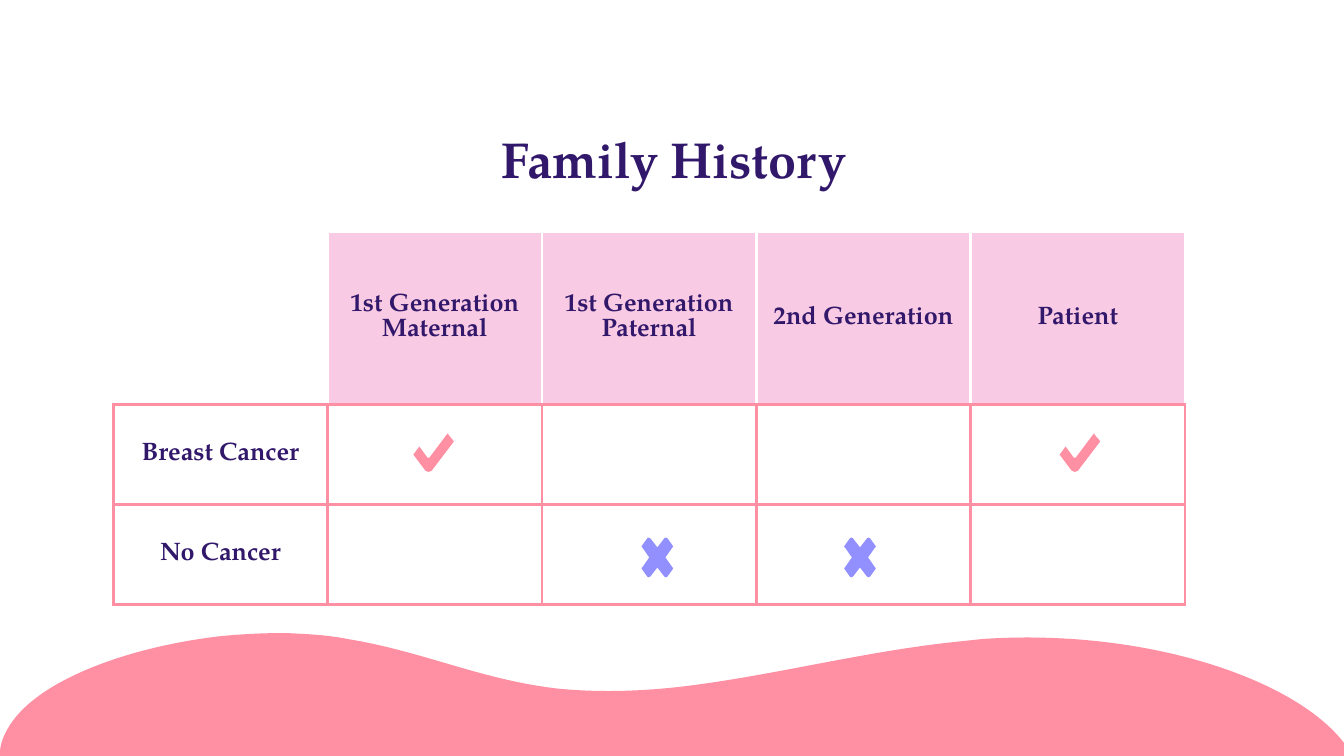
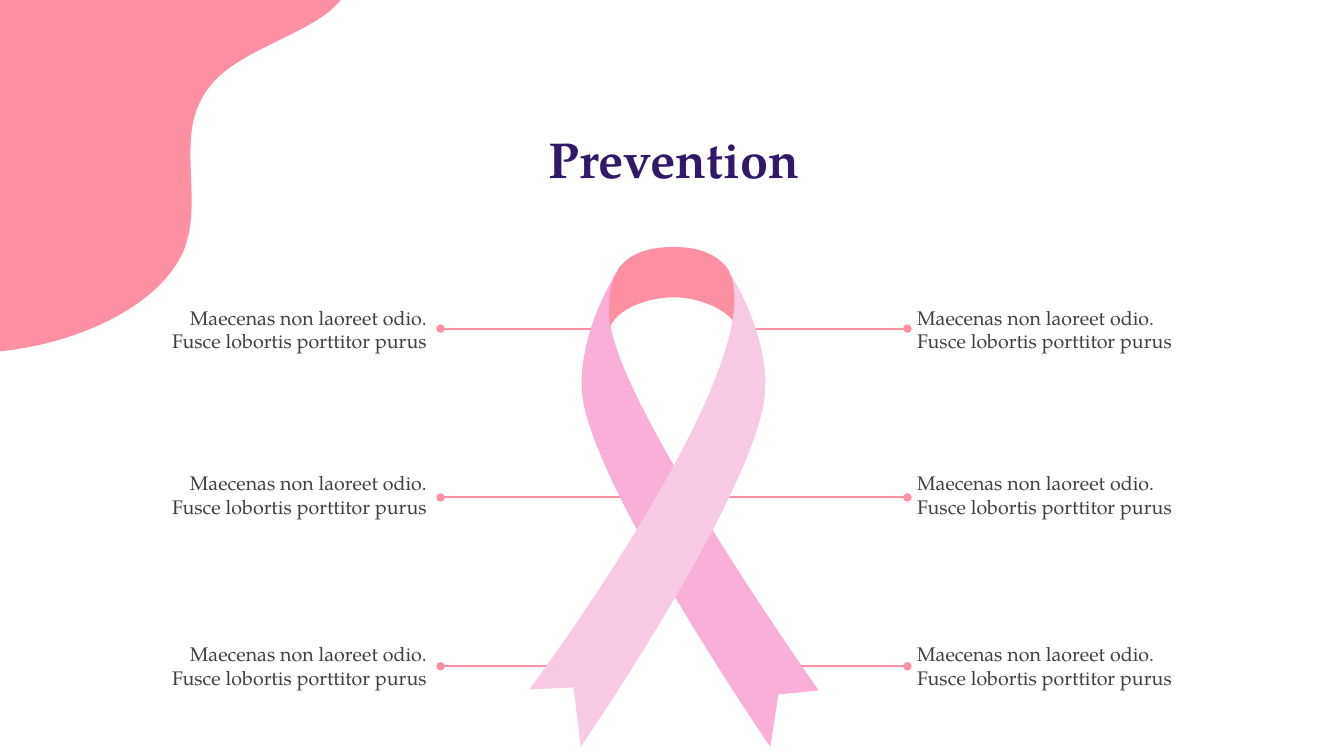
"""Build two slides: a family history table and a prevention ribbon with six notes."""
from lxml import etree
from pptx import Presentation
from pptx.dml.color import RGBColor
from pptx.enum.shapes import MSO_CONNECTOR
from pptx.enum.text import MSO_ANCHOR, MSO_AUTO_SIZE, PP_ALIGN
from pptx.oxml.ns import qn
from pptx.util import Inches, Pt

LEFT, MID, RIGHT = PP_ALIGN.LEFT, PP_ALIGN.CENTER, PP_ALIGN.RIGHT
CENTER = MSO_ANCHOR.MIDDLE
GROW = MSO_AUTO_SIZE.SHAPE_TO_FIT_TEXT
LINE = MSO_CONNECTOR.STRAIGHT

CORAL = RGBColor(0xFF, 0x8F, 0xA3)
BLUSH = RGBColor(0xF9, 0xCA, 0xE3)
ROSE = RGBColor(0xF9, 0xAF, 0xD7)
PINK = RGBColor(0xFE, 0x89, 0xBF)
LILAC = RGBColor(0x92, 0x90, 0xFF)
NAVY = RGBColor(0x32, 0x18, 0x6B)
GREY = RGBColor(0x40, 0x40, 0x40)
WHITE = RGBColor(0xFF, 0xFF, 0xFF)

FONT = "TeX Gyre Pagella"
TITLE = {"name": FONT, "size": Pt(36), "bold": True}
HEAD = {"name": FONT, "size": Pt(18), "bold": True}
BODY = {"name": FONT, "size": Pt(14), "bold": False}

deck = Presentation()
deck.slide_width, deck.slide_height = Inches(13.33), Inches(7.5)
COL, ROW = deck.slide_width / 100, deck.slide_height / 100


def write(frame, text, align, style, color):
    frame.text = text
    frame.word_wrap = True
    for para in frame.paragraphs:
        para.alignment = align
        for run in para.runs:
            for key, value in style.items():
                setattr(run.font, key, value)
            run.font.color.rgb = color


def draw(slide, color, path, left=0, top=0):
    dots = [(Inches(left + part[-2]), Inches(top + part[-1])) for part in path]
    pen = slide.shapes.build_freeform(*dots[0], scale=1.0)
    pen.add_line_segments(dots[1:], close=True)
    shape = pen.convert_to_shape()
    lines = list(shape._element.iter(qn("a:lnTo")))
    for part, line in zip(path[1:], lines):
        if len(part) == 6:
            curve = etree.Element(qn("a:cubicBezTo"))
            for x, y in zip(part[::2], part[1::2]):
                etree.SubElement(curve, qn("a:pt"),
                                 x=str(Inches(left + x) - shape.left),
                                 y=str(Inches(top + y) - shape.top))
            line.getparent().replace(line, curve)
    shape.shadow.inherit = False
    shape.fill.solid()
    shape.fill.fore_color.rgb = color
    shape.line.fill.background()


for name in ("Family History", "Prevention"):
    title = deck.slides.add_slide(deck.slide_layouts[5]).shapes.title
    title.left, title.top = int(0.25 * COL), int(16.15 * ROW)
    title.width, title.height = int(99.75 * COL), int(9.47 * ROW)
    write(title.text_frame, name, MID, TITLE, NAVY)
story, guard = deck.slides

WAVE = [(2.83, 6.28), (3.05, 6.29, 3.25, 6.3, 3.45, 6.34),
        (4.19, 6.46, 4.76, 6.74, 5.52, 6.83),
        (5.91, 6.87, 6.3, 6.86, 6.69, 6.82),
        (7.6, 6.72, 8.52, 6.47, 9.46, 6.37),
        (9.55, 6.36, 9.65, 6.35, 9.74, 6.34),
        (11.33, 6.23, 12.83, 6.72, 13.33, 7.37),
        (13.33, 7.5), (0, 7.5), (0, 7.45),
        (0.01, 7.34, 0.07, 7.22, 0.16, 7.11),
        (0.49, 6.71, 1.32, 6.41, 2.2, 6.31),
        (2.41, 6.29, 2.62, 6.28, 2.83, 6.28)]
draw(story, CORAL, WAVE)

CELLS = (("", "1st Generation\nMaternal", "1st Generation\nPaternal",
          "2nd Generation", "Patient"),
         ("Breast Cancer", "", "", "", ""),
         ("No Cancer", "", "", "", ""))
HIGH = (22.9, 13.2, 13.2)
WIDE = 15.95
table = story.shapes.add_table(3, 5, int(8.42 * COL), int(30.65 * ROW),
                               int(5 * WIDE * COL), int(sum(HIGH) * ROW)).table
table.first_row = table.horz_banding = False
for col in table.columns:
    col.width = int(WIDE * COL)
for r, words in enumerate(CELLS):
    table.rows[r].height = int(HIGH[r] * ROW)
    for c, text in enumerate(words):
        cell = table.cell(r, c)
        write(cell.text_frame, text, MID, HEAD, NAVY)
        cell.vertical_anchor = CENTER
        side = CORAL if r else WHITE
        edges = {"lnL": side, "lnR": side, "lnT": side, "lnB": CORAL}
        props = cell._tc.get_or_add_tcPr()
        for edge, color in edges.items():
            line = etree.SubElement(props, qn("a:" + edge), w=str(Pt(2.25)))
            fill = etree.SubElement(line, qn("a:solidFill"))
            etree.SubElement(fill, qn("a:srgbClr"), val=str(color))
        if r == 0 and text:
            cell.fill.solid()
            cell.fill.fore_color.rgb = BLUSH
        else:
            cell.fill.background()

CHECK = [(0.34, 0), (0.16, 0.24), (0.15, 0.24, 0.15, 0.24, 0.15, 0.24),
         (0.14, 0.24, 0.14, 0.24, 0.14, 0.24), (0.06, 0.13), (0, 0.21),
         (0.12, 0.37), (0.13, 0.38, 0.14, 0.38, 0.15, 0.38),
         (0.16, 0.38, 0.17, 0.38, 0.18, 0.37), (0.4, 0.08)]
SHADE = [(0.38, 0.05), (0.15, 0.36), (0.14, 0.36, 0.13, 0.37, 0.12, 0.37),
         (0.13, 0.38, 0.14, 0.38, 0.15, 0.38),
         (0.16, 0.38, 0.17, 0.38, 0.18, 0.37), (0.4, 0.08)]
for left in (4.1, 10.51):
    for path in (CHECK, SHADE):
        draw(story, CORAL, path, left, 4.3)

HALF = [(0, -0.1), (0.07, -0.19), (0.08, -0.2, 0.09, -0.2, 0.1, -0.19),
        (0.15, -0.12), (0.16, -0.11, 0.16, -0.1, 0.15, -0.1),
        (0.08, 0), (0.15, 0.1), (0.16, 0.1, 0.16, 0.11, 0.15, 0.12),
        (0.1, 0.19), (0.09, 0.2, 0.08, 0.2, 0.07, 0.19)]
CROSS = HALF + [tuple(-n for n in part) for part in HALF]
for left in (6.52, 8.53):
    draw(story, LILAC, CROSS, left, 5.53)

BLOB = [(0, 0), (3.38, 0), (3.37, 0.01),
        (3.34, 0.05, 3.3, 0.08, 3.26, 0.12),
        (2.94, 0.36, 2.45, 0.5, 2.17, 0.76),
        (2.03, 0.89, 1.96, 1.04, 1.92, 1.19),
        (1.84, 1.55, 1.95, 1.96, 1.87, 2.33),
        (1.86, 2.36, 1.85, 2.4, 1.84, 2.44),
        (1.65, 2.97, 0.89, 3.38, 0.05, 3.48), (0, 3.48)]
draw(guard, CORAL, BLOB)

NOTE = "Maecenas non laoreet odio. Fusce lobortis porttitor purus"
TOPS = (39.8, 61.7, 84.27)
SIDES = ((32.78, (44.4, 51, 44), 9.87, RIGHT),
         (67.52, (54.6, 50.6, 57.2), 67.5, LEFT))
for start, ends, left, align in SIDES:
    for i, (end, top) in enumerate(zip(ends, TOPS)):
        y = int((43.47 + 22.33 * i) * ROW)
        rule = guard.shapes.add_connector(LINE, int(start * COL), y,
                                          int(end * COL), y)
        rule.line.color.rgb = CORAL
        rule.line.width = Pt(1.5)
        etree.SubElement(rule.line._get_or_add_ln(), qn("a:headEnd"), type="oval")
        etree.SubElement(rule._element.spPr, qn("a:effectLst"))
        box = guard.shapes.add_textbox(int(left * COL), int(top * ROW),
                                       int(22.65 * COL), int(7.6 * ROW))
        write(box.text_frame, NOTE, align, BODY, GREY)
        box.text_frame.auto_size = GROW

LOOP = [(6.68, 2.45), (6.41, 2.45, 6.23, 2.53, 6.13, 2.67),
        (6.13, 2.69, 6.12, 2.7, 6.11, 2.71),
        (6.04, 2.83, 6.02, 3.04, 6.05, 3.26),
        (6.08, 3.1, 6.38, 2.95, 6.68, 2.95),
        (6.97, 2.95, 7.27, 3.1, 7.31, 3.26),
        (7.32, 3.09, 7.32, 2.85, 7.24, 2.71),
        (7.24, 2.7, 7.23, 2.69, 7.22, 2.67),
        (7.12, 2.53, 6.95, 2.45, 6.68, 2.45)]
BACK = [(6.11, 2.71), (5.74, 3.33, 5.77, 3.8, 5.77, 3.81),
        (5.77, 3.82, 5.77, 3.83, 5.77, 3.84),
        (5.77, 4.68, 7.64, 7.41, 7.64, 7.41),
        (7.72, 6.89), (8.12, 6.85),
        (8.12, 6.85, 6.04, 3.91, 6.04, 3.11),
        (6.04, 2.96, 6.05, 2.82, 6.11, 2.71)]
FRONT = [(7.24, 2.71), (7.64, 3.64, 5.25, 6.84, 5.25, 6.84),
         (5.69, 6.82), (5.76, 7.41),
         (5.76, 7.41, 7.59, 4.74, 7.59, 3.84),
         (7.59, 3.83, 7.59, 3.82, 7.59, 3.81),
         (7.59, 3.81, 7.62, 3.34, 7.24, 2.71)]
FOLD = [(6.29, 2.53), (6.18, 2.59, 6.06, 2.72, 6.04, 2.98),
        (6.03, 3.18, 6.08, 3.36, 6.14, 3.53),
        (6.08, 3.36, 6.03, 3.18, 6.04, 2.98),
        (6.06, 2.72, 6.18, 2.59, 6.29, 2.53)]
for color, path in ((CORAL, LOOP), (ROSE, BACK), (BLUSH, FRONT), (PINK, FOLD)):
    draw(guard, color, path)

deck.save("out.pptx")
